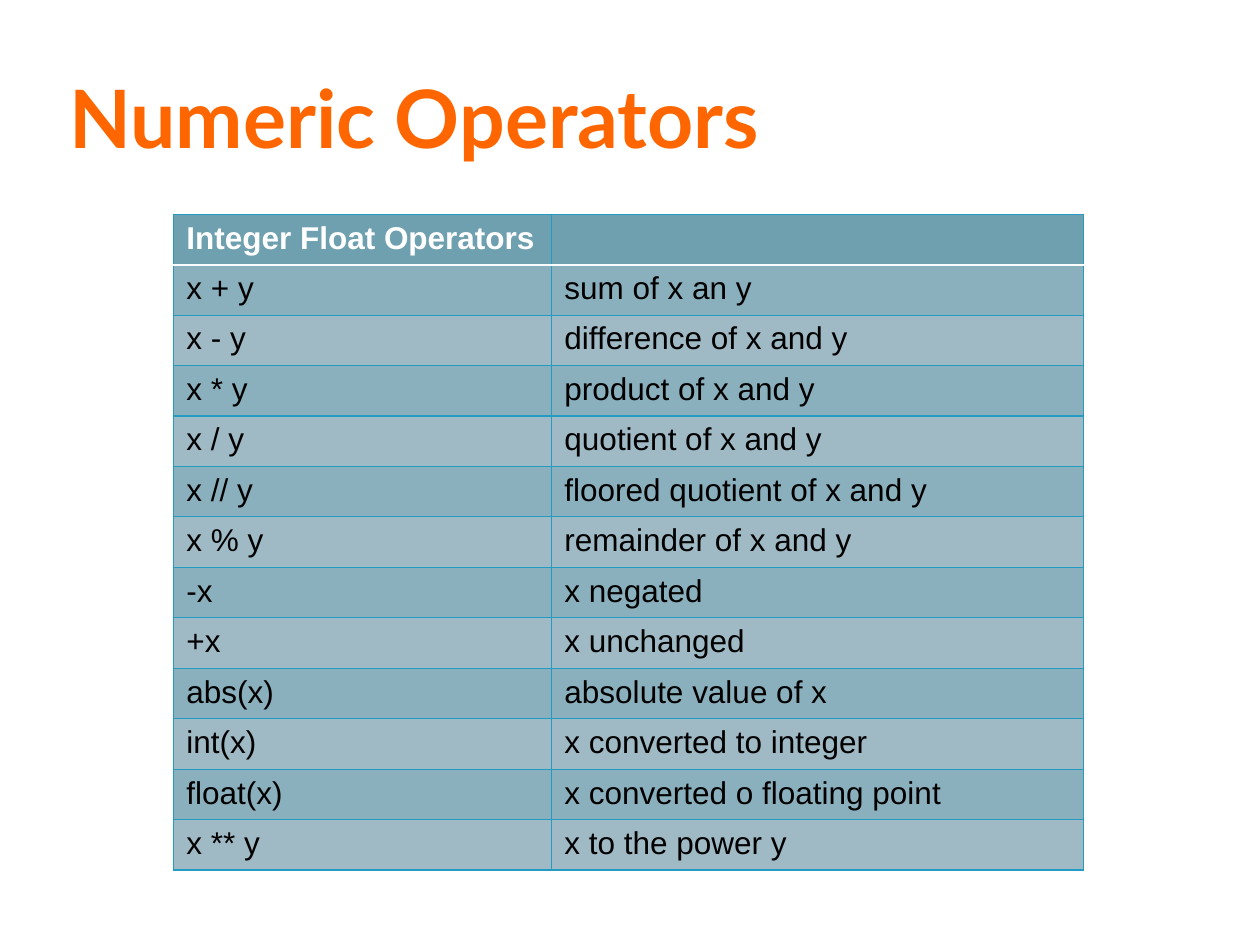
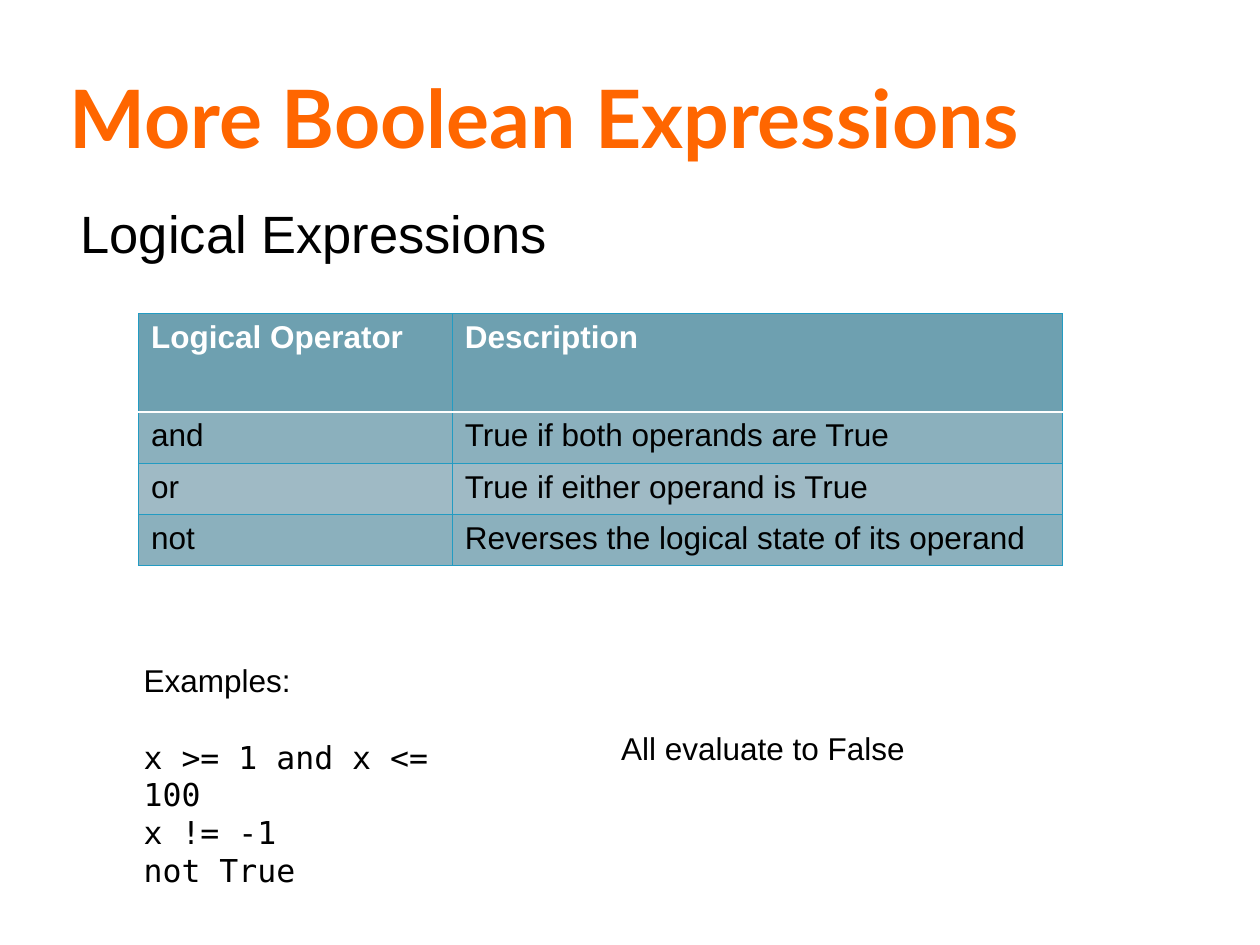
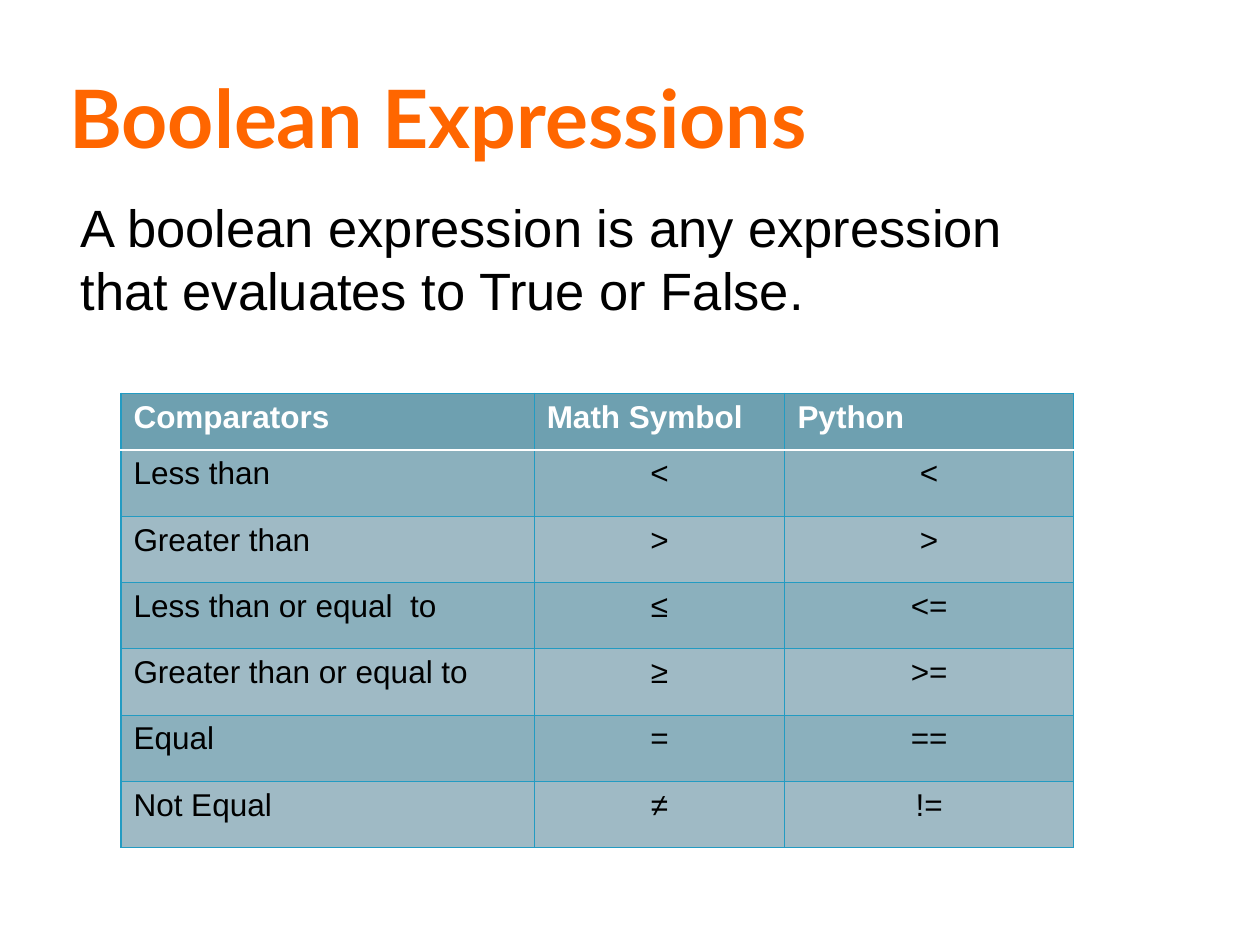
"""Builds three slides on numeric, logical and comparison operators."""
from lxml import etree
from pptx import Presentation
from pptx.dml.color import RGBColor
from pptx.enum.text import MSO_ANCHOR, PP_ALIGN
from pptx.oxml.ns import qn
from pptx.util import Inches, Pt

MIDDLE, TOP = MSO_ANCHOR.MIDDLE, MSO_ANCHOR.TOP
LEFT, CENTER = PP_ALIGN.LEFT, PP_ALIGN.CENTER
ORANGE, BLACK, WHITE = "FF6600", "000000", "FFFFFF"
HEADER, BANDS, BORDER = "6EA0B0", ("8BB0BD", "9FBAC5"), "239BC2"
TITLE = {"name": "Lato", "size": Pt(46), "bold": True}
BODY = {"name": "Arial", "size": Pt(30)}
NORMAL = {"name": "Arial", "size": Pt(18), "bold": False}
HEADING = {**NORMAL, "bold": True}
CODE = {**NORMAL, "name": "DejaVu Sans Mono"}


def rgb(value):
    return RGBColor.from_string(value)


def add_text(s, box, lines, color=BLACK, anchor=TOP, inset=0.14):
    tf = s.shapes.add_textbox(*map(Inches, box)).text_frame
    frame = {"word_wrap": True, "vertical_anchor": anchor, "margin_left": Inches(inset)}
    for key, value in frame.items():
        setattr(tf, key, value)
    for i, (text, font, before) in enumerate(lines):
        p = tf.add_paragraph() if i else tf.paragraphs[0]
        p.space_before = Pt(before)
        r = p.add_run()
        r.text = text
        for key, value in font.items():
            setattr(r.font, key, value)
        r.font.color.rgb = rgb(color)


slides = [
    {
        "title": "Numeric Operators",
        "texts": [],
        "table": (1.38, 1.7, 7.22, 5.02),
        "header": 0.39,
        "cols": (3, 4.22),
        "rows": [
            ("Integer Float Operators", ""),
            ("x + y", "sum of x an y"),
            ("x - y", "difference of x and y"),
            ("x * y", "product of x and y"),
            ("x / y", "quotient of x and y"),
            ("x // y", "floored quotient of x and y"),
            ("x % y", "remainder of x and y"),
            ("-x", "x negated"),
            ("+x", "x unchanged"),
            ("abs(x)", "absolute value of x"),
            ("int(x)", "x converted to integer"),
            ("float(x)", "x converted o floating point"),
            ("x ** y", "x to the power y"),
        ],
    },
    {
        "title": "More Boolean Expressions",
        "texts": [
            ((0.5, 1.55, 8.17, 0.79), [("Logical Expressions", BODY, 3)], BLACK, TOP),
            ((1, 5.2, 2.84, 1.92), [
                ("Examples:", NORMAL, 0),
                ("x >= 1 and x <= 100", CODE, 22),
                ("x != -1", CODE, 0),
                ("not True", CODE, 0),
            ], BLACK, TOP),
            ((4.79, 5.43, 2.49, 1.01), [("All evaluate to False", NORMAL, 0)], BLACK, MIDDLE),
        ],
        "table": (1.1, 2.49, 7.33, 2),
        "header": 0.78,
        "cols": (2.49, 4.84),
        "rows": [
            ("Logical Operator", "Description"),
            ("and", "True if both operands are True"),
            ("or", "True if either operand is True"),
            ("not", "Reverses the logical state of its operand"),
        ],
    },
    {
        "title": "Boolean Expressions",
        "texts": [
            ((0.5, 1.5, 8.17, 1.25), [
                ("A boolean expression is any expression that evaluates to True or False.", BODY, 3),
            ], BLACK, TOP),
        ],
        "table": (0.96, 3.12, 7.56, 3.61),
        "header": 0.45,
        "cols": (3.28, 1.99, 2.29),
        "rows": [
            ("Comparators", "Math Symbol", "Python"),
            ("Less than", "<", "<"),
            ("Greater than", ">", ">"),
            ("Less than or equal  to", "≤", "<="),
            ("Greater than or equal to", "≥", ">="),
            ("Equal", "=", "=="),
            ("Not Equal", "≠", "!="),
        ],
    },
]

prs = Presentation()
prs.slide_width, prs.slide_height = Inches(10), Inches(7.5)

for content in slides:
    s = prs.slides.add_slide(prs.slide_layouts[6])
    add_text(s, (0.5, 0.3, 8.17, 1.25), [(content["title"], TITLE, 0)], ORANGE, MIDDLE, 0.05)
    for text in content["texts"]:
        add_text(s, *text)

    rows, cols = content["rows"], content["cols"]
    box = [Inches(v) for v in content["table"]]
    table = s.shapes.add_table(len(rows), len(cols), *box).table
    for column, width in zip(table.columns, cols):
        column.width = Inches(width)
    header = Inches(content["header"])
    for i, row in enumerate(rows):
        table.rows[i].height = (box[3] - header) // (len(rows) - 1) if i else header
        for j, text in enumerate(row):
            cell = table.cell(i, j)
            tcPr = cell._tc.get_or_add_tcPr()
            for side in ("lnL", "lnR", "lnT", "lnB"):
                divider = (i, side) in ((0, "lnB"), (1, "lnT"))
                ln = etree.SubElement(tcPr, qn(f"a:{side}"), w=str(Pt(1.5 if divider else 0.75)))
                fill = etree.SubElement(ln, qn("a:solidFill"))
                etree.SubElement(fill, qn("a:srgbClr"), val=WHITE if divider else BORDER)
            cell.fill.solid()
            cell.fill.fore_color.rgb = rgb(BANDS[(i - 1) % 2] if i else HEADER)
            p = cell.text_frame.paragraphs[0]
            p.alignment = CENTER if i and j and len(cols) == 3 else LEFT
            p.font.size = Pt(18)
            if text:
                r = p.add_run()
                r.text = text
                for key, value in (NORMAL if i else HEADING).items():
                    setattr(r.font, key, value)
                r.font.color.rgb = rgb(BLACK if i else WHITE)

prs.save("out.pptx")
